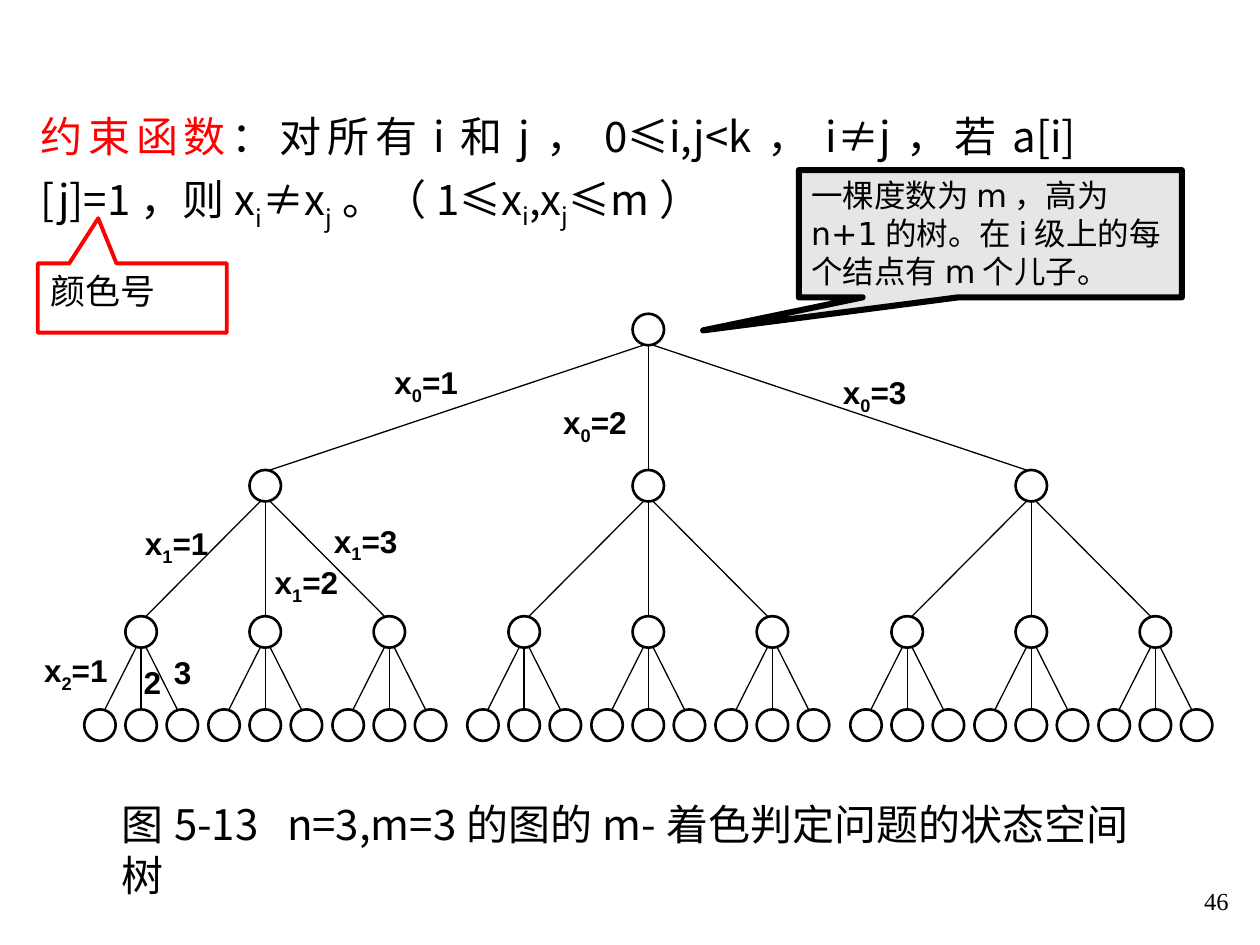
from lxml.etree import SubElement
from pptx import Presentation
from pptx.dml.color import RGBColor
from pptx.enum.shapes import MSO_CONNECTOR as Connector, MSO_SHAPE as Shape
from pptx.enum.text import MSO_ANCHOR as Anchor, MSO_AUTO_SIZE as AutoSize, PP_ALIGN as Align
from pptx.oxml.ns import qn
from pptx.util import Inches, Pt

COLORS = {"black": "000000", "red": "FF0000", "white": "FFFFFF", "gray": "E7E6E6"}
CJK = "Noto Sans CJK SC"
NODE = 0.25
EDGE_INSET = 0.04
LEVEL_TOPS = [2.49, 3.73, 4.89, 5.63]
CHILD_GAPS = [3.04, 0.985, 0.327]
LABELS = [
    (3.13, 2.88, "0", "=1"), (4.47, 3.2, "0", "=2"), (6.69, 2.96, "0", "=3"),
    (1.15, 4.16, "1", "=1"), (2.18, 4.47, "1", "=2"), (2.65, 4.14, "1", "=3"),
    (0.35, 5.17, "2", "=1"),
]


def color(name):
    """Return the named palette colour."""
    return RGBColor.from_string(COLORS[name])


def write_text(frame, *parts, size=18, font=CJK, bold=False, align=Align.LEFT,
               spacing=None, inset=None, tab=None, wrap=True):
    """Fill a frame with parts, each a string or (text, baseline, colour name)."""
    frame.word_wrap = wrap
    frame.auto_size = AutoSize.NONE
    frame.vertical_anchor = Anchor.TOP
    if inset is not None:
        frame.margin_left = frame.margin_right = Inches(inset)
        frame.margin_top = frame.margin_bottom = Inches(inset)
    paragraph = frame.paragraphs[0]
    if tab is not None:
        tabs = SubElement(paragraph._p.get_or_add_pPr(), qn("a:tabLst"))
        SubElement(tabs, qn("a:tab"), pos=str(Inches(tab)), algn="l")
    paragraph.alignment = align
    if spacing is not None:
        paragraph.line_spacing = spacing
    for part in parts:
        text, baseline, color_name = (part, 0, "black") if isinstance(part, str) else part
        run = paragraph.add_run()
        run.text = text
        run.font.size = Pt(size)
        run.font.name = font
        run.font.bold = bold
        run.font.color.rgb = color(color_name)
        properties = run._r.get_or_add_rPr()
        SubElement(properties, qn("a:ea"), typeface=font)
        if baseline:
            properties.set("baseline", str(baseline * 1000))


def subscript(text, baseline=-25):
    """Return a lowered text part."""
    return text, baseline, "black"


def add_text(slide, left, top, width, height, *parts, **text_format):
    """Add a formatted text box."""
    box = slide.shapes.add_textbox(Inches(left), Inches(top), Inches(width), Inches(height))
    write_text(box.text_frame, *parts, **text_format)


def add_outlined(slide, kind, left, top, width, height, line="black", weight=1.5, fill="white"):
    """Add a preset shape with an outline and an optional fill."""
    shape = slide.shapes.add_shape(kind, Inches(left), Inches(top), Inches(width), Inches(height))
    shape.shadow.inherit = False
    if fill:
        shape.fill.solid()
        shape.fill.fore_color.rgb = color(fill)
    else:
        shape.fill.background()
    shape.line.color.rgb = color(line)
    shape.line.width = Pt(weight)
    return shape


def add_callout(slide, bounds, pointer, text, line, weight, fill, **text_format):
    """Add a rectangular callout whose pointer is given relative to its size."""
    callout = add_outlined(slide, Shape.RECTANGULAR_CALLOUT, *bounds, line, weight, fill)
    callout.adjustments[0], callout.adjustments[1] = pointer
    write_text(callout.text_frame, text, **text_format)


def add_edge(slide, start, end):
    """Add a thin tree edge between two points."""
    points = [Inches(value) for value in (*start, *end)]
    edge = slide.shapes.add_connector(Connector.STRAIGHT, *points)
    edge.line.color.rgb = color("black")
    edge.line.width = Pt(0.75)
    SubElement(edge._element.spPr, qn("a:effectLst"))


def add_subtree(slide, center, level=0):
    """Add a node and, recursively, its three children with their edges."""
    top = LEVEL_TOPS[level]
    if level < len(CHILD_GAPS):
        for side in (-1, 0, 1):
            child = center + side * CHILD_GAPS[level]
            add_edge(slide, (center + side * EDGE_INSET, top + NODE),
                     (child - side * EDGE_INSET, LEVEL_TOPS[level + 1]))
            add_subtree(slide, child, level + 1)
    add_outlined(slide, Shape.OVAL, center - NODE / 2, top, NODE, NODE)


def add_constraint(slide):
    """Write the constraint function in the title placeholder."""
    title = slide.shapes.title
    title.left, title.top, title.width, title.height = map(Inches, (0.22, 0.75, 8.42, 1.2))
    write_text(title.text_frame, ("约束函数", 0, "red"),
               "：对所有i和j，0≤i,j<k，i≠j，若a[i][j]=1，则x", subscript("i", -30),
               "≠x", subscript("j", -30), "。（1≤x", subscript("i"), ",x", subscript("j"),
               "≤m）", size=24, align=Align.JUSTIFY, spacing=1.2)


def add_labels(slide):
    """Label the edges of the tree with their variable values."""
    label_format = {"font": "Arial", "bold": True, "inset": 0, "wrap": False}
    for left, top, index, value in LABELS:
        add_text(slide, left, top, 0.56, 0.3, "x", subscript(index), value, **label_format)
    for left, top, value in [(1.14, 5.26, "2"), (1.38, 5.18, "3")]:
        add_text(slide, left, top, 0.16, 0.3, value, **label_format)


def main():
    """Build the state space tree slide."""
    presentation = Presentation()
    presentation.slide_width, presentation.slide_height = Inches(10), Inches(7.5)
    slide = presentation.slides.add_slide(presentation.slide_layouts[5])
    add_constraint(slide)
    add_text(slide, 8.7, 6.98, 1.15, 0.36, "46", size=14, font="Times New Roman",
             align=Align.RIGHT)
    add_subtree(slide, 5.145)
    add_labels(slide)
    add_callout(slide, (0.3, 2.09, 1.5, 0.55), (-0.18, -1.15), "颜色号",
                "red", 2.25, None, size=20)
    add_text(slide, 0.87, 6.29, 8.43, 0.5, "图5-13\tn=3,m=3的图的m-着色判定问题的状态空间树",
             size=24, tab=1.31)
    add_callout(slide, (6.34, 1.35, 3.04, 1.01), (-0.75, 0.76),
                "一棵度数为m，高为n+1的树。在i级上的每个结点有m个儿子。",
                "black", 3.5, "gray", font="DejaVu Sans")
    presentation.save("out.pptx")


if __name__ == "__main__":
    main()
